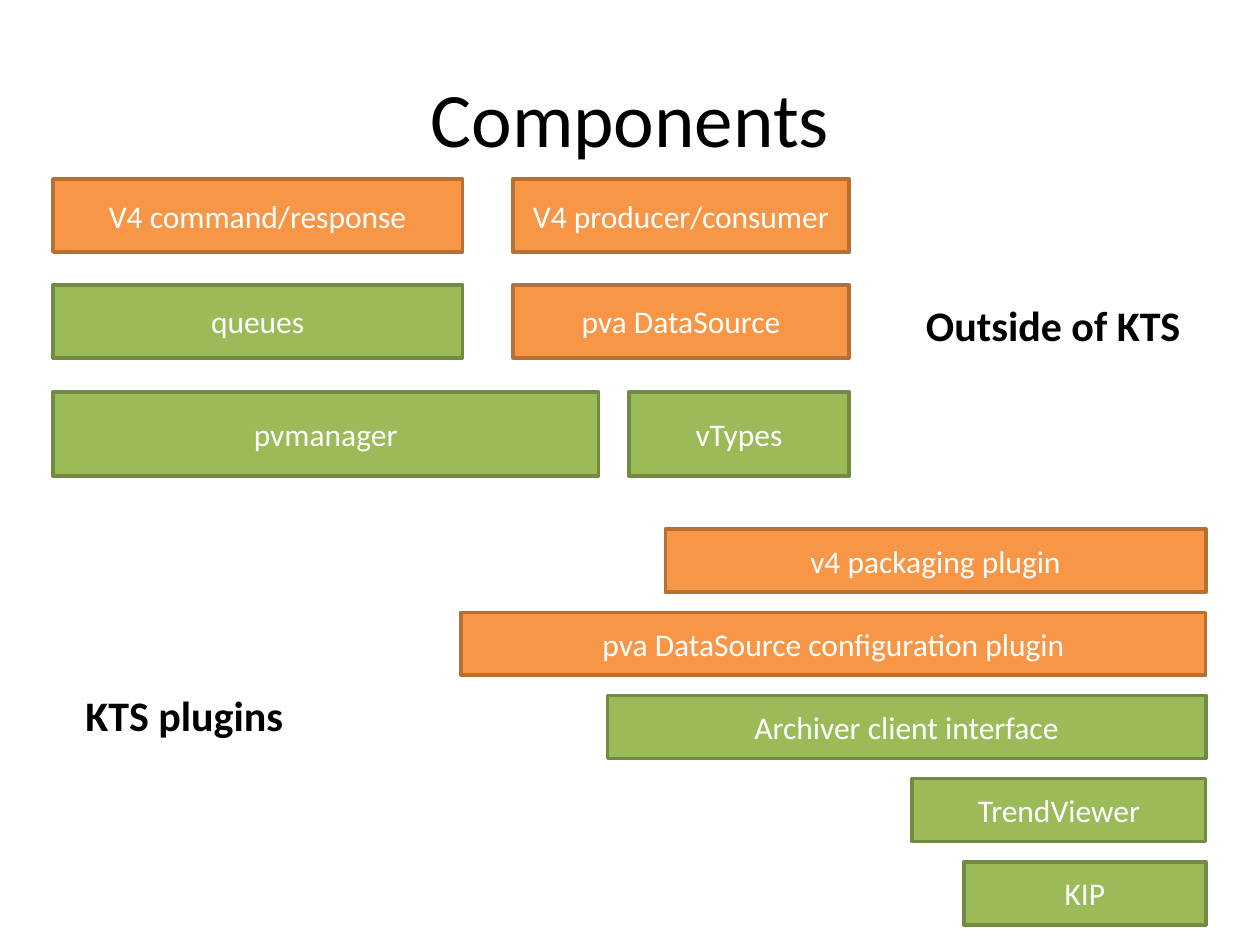
from pptx import Presentation
from pptx.dml.color import RGBColor
from pptx.enum.shapes import MSO_SHAPE as Shape
from pptx.enum.text import MSO_ANCHOR as Anchor, PP_ALIGN as Align
from pptx.util import Inches, Pt

FONT = "Calibri"
COLORS = {
    "text": "000000",
    "label": "FFFFFF",
    "new": "F79646",
    "new_line": "B76F34",
    "existing": "9BBB59",
    "existing_line": "738A42",
}

# Each row: top, height, then (text, status, width) for its left and right block
OUTSIDE_ROWS = [
    (1.42, 0.58, ("V4 command/response", "new", 3.25),
     ("V4 producer/consumer", "new", 2.67)),
    (2.26, 0.58, ("queues", "existing", 3.25),
     ("pva DataSource", "new", 2.67)),
    (3.11, 0.67, ("pvmanager", "existing", 4.33),
     ("vTypes", "existing", 1.75)),
]
PLUGINS = [
    ("v4 packaging plugin", "new", 4.29),
    ("pva DataSource configuration plugin", "new", 5.91),
    ("Archiver client interface", "existing", 4.75),
    ("TrendViewer", "existing", 2.33),
    ("KIP", "existing", 1.92),
]


def color(name):
    return RGBColor.from_string(COLORS[name])


def write(shape, text, size, color_name, align, bold=False):
    frame = shape.text_frame
    frame.text = text
    para = frame.paragraphs[0]
    para.alignment = align
    font = para.runs[0].font
    font.name, font.size, font.bold = FONT, Pt(size), bold
    font.color.rgb = color(color_name)


def add_title(page, text, left, top, width, height):
    title = page.shapes.title
    title.left, title.top = Inches(left), Inches(top)
    title.width, title.height = Inches(width), Inches(height)
    write(title, text, 44, "text", Align.CENTER)
    title.text_frame.vertical_anchor = Anchor.MIDDLE


def add_block(page, text, status, left, top, width, height):
    block = page.shapes.add_shape(Shape.RECTANGLE, Inches(left), Inches(top),
                                  Inches(width), Inches(height))
    block.shadow.inherit = False
    block.fill.solid()
    block.fill.fore_color.rgb = color(status)
    block.line.color.rgb = color(status + "_line")
    block.line.width = Pt(2)
    write(block, text, 18, "label", Align.CENTER)
    block.text_frame.vertical_anchor = Anchor.MIDDLE


def add_heading(page, text, left, top, width, height):
    box = page.shapes.add_textbox(Inches(left), Inches(top),
                                  Inches(width), Inches(height))
    box.text_frame.word_wrap = False
    write(box, text, 24, "text", Align.LEFT, bold=True)


def add_outside(page, left, right):
    """Rows of two blocks, flush with the left and right edges."""
    for top, height, first, second in OUTSIDE_ROWS:
        add_block(page, *first[:2], left, top, first[2], height)
        add_block(page, *second[:2], right - second[2], top, second[2], height)


def add_plugins(page, right, top, height, pitch):
    """A right-aligned stack of plugin blocks."""
    for row, (text, status, width) in enumerate(PLUGINS):
        add_block(page, text, status, right - width, top + row * pitch,
                  width, height)


def main():
    deck = Presentation()
    deck.slide_width, deck.slide_height = Inches(10), Inches(7.5)
    page = deck.slides.add_slide(deck.slide_layouts[5])
    add_title(page, "Components", 0.5, 0.3, 9, 1.25)
    add_outside(page, left=0.42, right=6.74)
    add_plugins(page, right=9.57, top=4.2, height=0.5, pitch=0.66)
    add_heading(page, "Outside of KTS", 7.25, 2.33, 2.23, 0.5)
    add_heading(page, "KTS plugins", 0.58, 5.42, 1.78, 0.5)
    deck.save("out.pptx")


if __name__ == "__main__":
    main()
